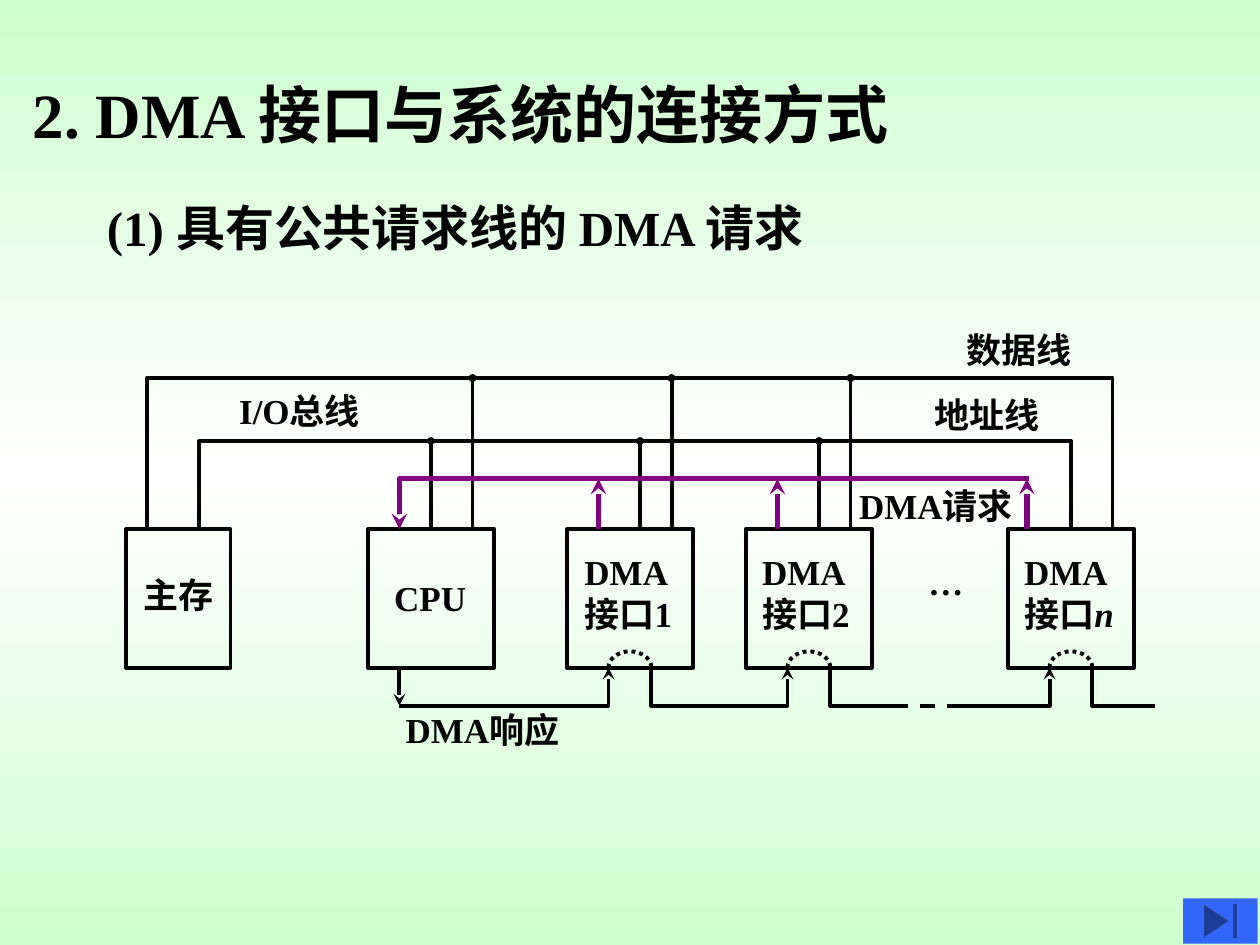
import copy
import dataclasses
import math

import pptx
import pptx.dml.color
import pptx.enum.dml
import pptx.enum.shapes
import pptx.enum.text
import pptx.oxml
import pptx.oxml.ns
import pptx.util

Inches = pptx.util.Inches
qn = pptx.oxml.ns.qn
DASH = pptx.enum.dml.MSO_LINE


@dataclasses.dataclass(frozen=True)
class Theme:
    """Colours, type sizes and line widths of the slide."""
    font: str = "Times New Roman"
    ink: str = "000000"
    request: str = "800080"
    mint: str = "CDFFCE"
    white: str = "FFFFFF"
    button: str = "3366FF"
    title: int = 36
    subtitle: int = 28
    label: int = 20
    line: float = 2.25
    request_line: float = 3


THEME = Theme()
BOX_TOP, BOX_BOTTOM, BOX_WIDTH = 4.2, 5.3, 1
DATA_Y, ADDRESS_Y, REQUEST_Y, ACK_Y = 3, 3.5, 3.8, 5.6
ACK_IN, ACK_OUT, DATA_TAP = 0.33, 0.67, 0.83


def rgb(value):
    """Turn a hex string into a colour."""
    return pptx.dml.color.RGBColor.from_string(value)


def set_background(s):
    """Fill the background with a vertical mint, white, mint gradient."""
    fill = s.background.fill
    fill.gradient()
    fill.gradient_angle = 90
    for stop in fill.gradient_stops:
        stop.color.rgb = rgb(THEME.mint)
    stops = s._element.find(".//" + qn("a:gsLst"))
    middle = copy.deepcopy(stops[0])
    middle.set("pos", "50000")
    stops.insert(1, middle)
    fill.gradient_stops[1].color.rgb = rgb(THEME.white)


def write(sp, lines, size, wrap=False):
    """Write bold left-aligned lines into a shape that fits its text."""
    tf = sp.text_frame
    tf.text = "\n".join(lines)
    tf.word_wrap = wrap
    tf.auto_size = pptx.enum.text.MSO_AUTO_SIZE.SHAPE_TO_FIT_TEXT
    tf.vertical_anchor = pptx.enum.text.MSO_ANCHOR.TOP
    for p in tf.paragraphs:
        p.alignment = pptx.enum.text.PP_ALIGN.LEFT
        p.font.name = THEME.font
        p.font.size = pptx.util.Pt(size)
        p.font.bold = True
        p.font.color.rgb = rgb(THEME.ink)


def add_title(s, text):
    """Place and fill the title placeholder."""
    sp = s.shapes.title
    sp.left, sp.top, sp.width, sp.height = map(Inches, (0.16, 0.55, 7.14, 0.7))
    write(sp, [text], THEME.title)


def add_label(s, x, y, w, h, *lines, size=THEME.label, wrap=False):
    """Add a text box and return it."""
    sp = s.shapes.add_textbox(*map(Inches, (x, y, w, h)))
    write(sp, lines, size, wrap)
    return sp


def add_box(s, x, w=BOX_WIDTH):
    """Add an outlined unit box."""
    sp = s.shapes.add_shape(pptx.enum.shapes.MSO_SHAPE.RECTANGLE,
                            *map(Inches, (x, BOX_TOP, w, BOX_BOTTOM - BOX_TOP)))
    sp.fill.background()
    sp.shadow.inherit = False
    style_line(sp)
    return sp


def style_line(sp, color=THEME.ink, width=THEME.line, dash=None, tail=None):
    """Set colour, width, dash and end mark of a line."""
    sp.line.color.rgb = rgb(color)
    sp.line.width = pptx.util.Pt(width)
    if dash:
        sp.line.dash_style = dash
    if tail:
        size = "sm" if tail == "oval" else "med"
        sp.line._get_or_add_ln().append(pptx.oxml.parse_xml(
            f'<a:tailEnd {pptx.oxml.ns.nsdecls("a")} type="{tail}" '
            f'w="{size}" len="{size}"/>'))


def add_line(s, x1, y1, x2, y2, **style):
    """Add a straight connector and return it."""
    sp = s.shapes.add_connector(pptx.enum.shapes.MSO_CONNECTOR.STRAIGHT,
                                *map(Inches, (x1, y1, x2, y2)))
    style_line(sp, **style)
    sp._element.spPr.append(pptx.oxml.parse_xml(
        f'<a:effectLst {pptx.oxml.ns.nsdecls("a")}/>'))
    return sp


def add_route(s, points, **style):
    """Add an open outline through the points."""
    start, *rest = [(Inches(x), Inches(y)) for x, y in points]
    builder = s.shapes.build_freeform(*start)
    builder.add_line_segments(rest, close=False)
    sp = builder.convert_to_shape()
    sp.fill.background()
    sp.shadow.inherit = False
    style_line(sp, **style)


def add_bus(s, left, right, y):
    """Add a bus that drops to the box tops at both ends."""
    add_route(s, [(left, BOX_TOP), (left, y), (right, y), (right, BOX_TOP)])


def add_taps(s, x, address_offset):
    """Connect a unit to both buses and return its address tap."""
    add_line(s, x + DATA_TAP, BOX_TOP, x + DATA_TAP, DATA_Y, tail="oval")
    address = x + address_offset
    return add_line(s, address, BOX_TOP, address, ADDRESS_Y, tail="oval")


def add_request(s, x):
    """Add an arrow from an interface up to the request line."""
    add_line(s, x, BOX_TOP, x, REQUEST_Y, color=THEME.request,
             width=THEME.request_line, tail="stealth")


def add_pass_through(s, x):
    """Add the dotted arch between acknowledge input and output."""
    steps = 16
    span = ACK_OUT - ACK_IN
    points = [(x + ACK_IN + span * (1 - math.cos(math.pi * i / steps)) / 2,
               BOX_BOTTOM - 0.13 * math.sin(math.pi * i / steps))
              for i in range(steps + 1)]
    add_route(s, points, dash=DASH.ROUND_DOT)


def add_interface(s, x, label_x, number, request_offset):
    """Add a DMA interface with its request arrow and return its label."""
    label = add_label(s, label_x, 4.32, 1.04, 0.77, "DMA", "接口" + number)
    add_box(s, x)
    add_pass_through(s, x)
    add_request(s, x + request_offset)
    return label


def add_acknowledge_chain(s, cpu, first, second, last):
    """Add the acknowledge line that runs through the interfaces."""
    start, end = cpu + 0.25, last + ACK_OUT + 0.5
    gap_left, gap_right = 7.08, 7.58
    add_line(s, start, BOX_BOTTOM, start, ACK_Y, tail="stealth")
    for source, target in ((None, first), (first, second), (None, last)):
        arrow = [(target + ACK_IN, ACK_Y), (target + ACK_IN, BOX_BOTTOM)]
        if source:
            x = source + ACK_OUT
            arrow = [(x, BOX_BOTTOM), (x, ACK_Y)] + arrow
        else:
            arrow.insert(0, (start if target == first else gap_right, ACK_Y))
        add_route(s, arrow, tail="stealth")
    for unit, stop in ((second, gap_left), (last, end)):
        x = unit + ACK_OUT
        add_route(s, [(x, BOX_BOTTOM), (x, ACK_Y), (stop, ACK_Y)])
    add_line(s, gap_left, ACK_Y, gap_right, ACK_Y, dash=DASH.DASH)


def add_end_button(s):
    """Add the button in the lower right corner."""
    sp = s.shapes.add_shape(pptx.enum.shapes.MSO_SHAPE.ACTION_BUTTON_END,
                            *map(Inches, (9.39, 7.13, 0.59, 0.36)))
    sp.fill.solid()
    sp.fill.fore_color.rgb = rgb(THEME.button)
    sp.line.fill.background()
    sp.shadow.inherit = False


def main():
    """Build the slide and save it."""
    prs = pptx.Presentation()
    prs.slide_width, prs.slide_height = Inches(10), Inches(7.5)
    s = prs.slides.add_slide(prs.slide_layouts[5])
    set_background(s)
    add_title(s, "2. DMA 接口与系统的连接方式")
    add_label(s, 0.75, 1.52, 6.58, 0.57, "(1) 具有公共请求线的 DMA 请求",
              size=THEME.subtitle, wrap=True)

    memory, cpu, first, second, last = 1, 2.92, 4.5, 5.92, 8
    add_box(s, memory, 0.83)
    cpu_box = add_box(s, cpu)
    add_interface(s, first, 4.54, "1", 0.25)
    add_interface(s, second, 5.95, "2", 0.25)
    label = add_interface(s, last, 8.03, "", 0.15)
    r = label.text_frame.paragraphs[-1].add_run()
    r.text = "n"
    r.font.italic = True

    add_bus(s, memory + 0.17, last + DATA_TAP, DATA_Y)
    add_bus(s, memory + 0.58, last + 0.5, ADDRESS_Y)
    add_taps(s, cpu, 0.5).begin_connect(cpu_box, 0)
    for x in (first, second):
        add_taps(s, x, 0.58)
    add_route(s, [(8.17, REQUEST_Y), (cpu + 0.25, REQUEST_Y), (cpu + 0.25, BOX_TOP)],
              color=THEME.request, width=THEME.request_line, tail="stealth")
    add_acknowledge_chain(s, cpu, first, second, last)

    for x, y, w, text in ((1.04, 4.5, 0.82, "主存"), (3.03, 4.53, 0.82, "CPU"),
                          (7.27, 4.4, 0.5, "…"), (3.12, 5.57, 1.55, "DMA响应"),
                          (1.8, 3.04, 1.3, "I/O总线"), (7.57, 2.56, 1.1, "数据线"),
                          (7.32, 3.07, 1.1, "地址线"), (6.72, 3.8, 1.55, "DMA请求")):
        add_label(s, x, y, w, 0.44, text)
    add_end_button(s)
    prs.save("out.pptx")


if __name__ == "__main__":
    main()
